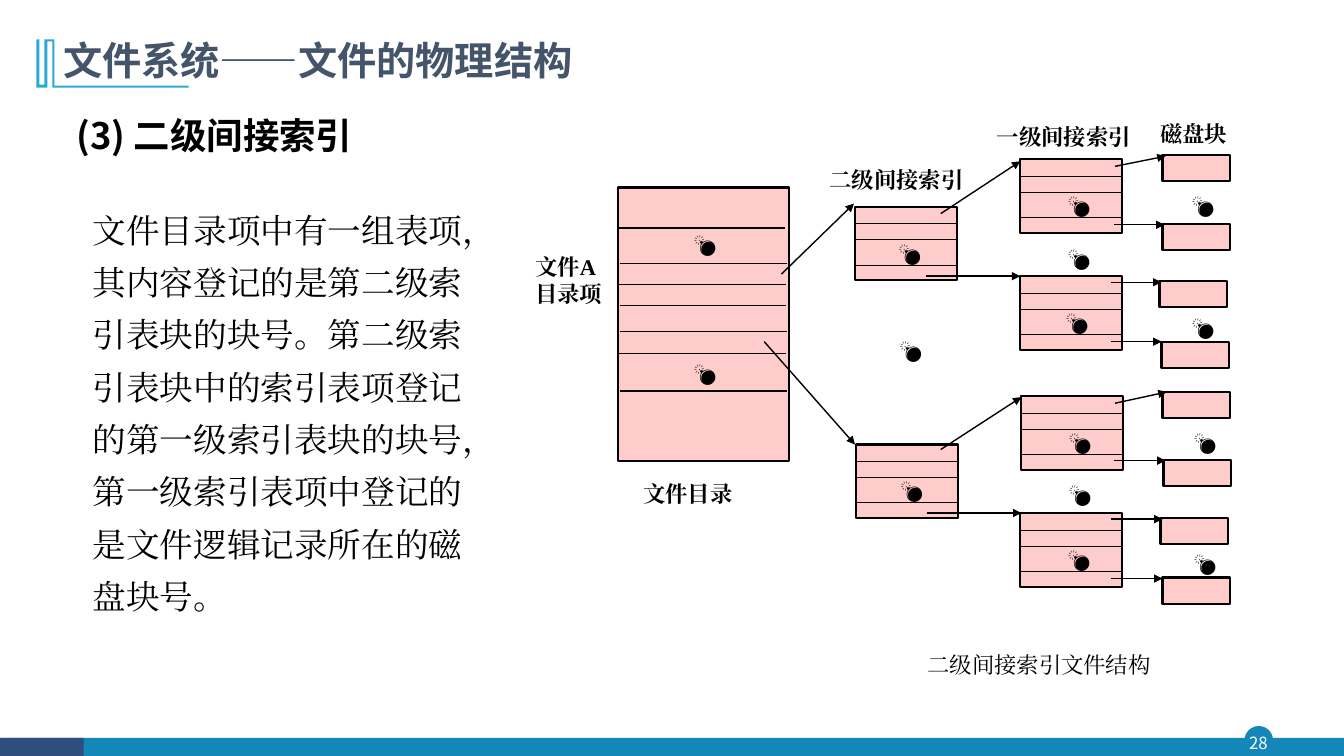
from dataclasses import dataclass

from lxml.etree import SubElement
from pptx import Presentation
from pptx.dml.color import RGBColor
from pptx.enum.shapes import MSO_CONNECTOR, MSO_SHAPE
from pptx.enum.text import MSO_ANCHOR, PP_ALIGN
from pptx.oxml.ns import qn
from pptx.shapes.autoshape import Shape
from pptx.slide import Slide
from pptx.util import Emu, Pt

PX = 9144
SANS = "Noto Sans CJK SC"
SERIF = "Times New Roman"
BLACK = "000000"
PINK = "FFCCCC"
BLUE = "1387B7"


@dataclass(frozen=True)
class Block:
    """A rectangle of the index diagram."""
    left: int
    top: int
    width: int
    height: int


@dataclass(frozen=True)
class Index(Block):
    """An index table with its own bomb mark offset."""
    mark_left: int = 31
    width: int = 101
    height: int = 73


@dataclass(frozen=True)
class Stroke:
    """A straight line between two points."""
    x1: int
    y1: int
    x2: int
    y2: int
    weight: float = 1


@dataclass(frozen=True)
class Label:
    """A piece of text with its box and look."""
    text: str
    left: int
    top: int
    width: int
    height: int
    size: int = 16
    bold: bool = True
    font: str = SERIF
    color: str = BLACK
    inset: tuple[int, int, int, int] = (10, 5, 10, 5)
    align: PP_ALIGN = PP_ALIGN.LEFT
    anchor: MSO_ANCHOR = MSO_ANCHOR.TOP
    spacing: float | Pt | None = None


DIRECTORY = Block(613, 186, 170, 271)
INDEXES = [
    Index(848, 205, mark_left=27), Index(849, 441, mark_left=28),
    Index(1012, 158), Index(1012, 274, mark_left=29),
    Index(1013, 393), Index(1012, 509),
]
INDEX_ROWS = (17, 33, 58)
DISKS = [Block(left, top, 67, 26) for left, top in (
    (1153, 154), (1153, 222), (1150, 279), (1152, 339),
    (1153, 389), (1154, 456), (1151, 514), (1153, 573),
)]
DIRECTORY_ROWS = [
    Stroke(613, 226, 779, 226, 1.75), Stroke(615, 261, 781, 261, 0.75),
    Stroke(614, 282, 780, 282, 0.75), Stroke(615, 303, 780, 303, 0.75),
    Stroke(615, 329, 781, 329, 0.75), Stroke(614, 351, 780, 351, 0.75),
    Stroke(615, 388, 781, 388, 1.75),
]
ARROWS = [
    Stroke(775, 272, 847, 202), Stroke(758, 339, 848, 441),
    Stroke(933, 212, 1012, 160), Stroke(918, 274, 1012, 274),
    Stroke(933, 446, 1013, 394), Stroke(919, 509, 1013, 509),
    Stroke(1106, 165, 1156, 155), Stroke(1105, 223, 1155, 223),
    Stroke(1102, 280, 1152, 280), Stroke(1102, 339, 1152, 339),
    Stroke(1106, 400, 1157, 389), Stroke(1105, 457, 1156, 457),
    Stroke(1102, 515, 1153, 515), Stroke(1102, 574, 1153, 574),
]
FREE_MARKS = [
    (672, 229), (672, 357), (876, 334), (1043, 242), (1044, 477),
    (1166, 190), (1166, 311), (1168, 425), (1168, 545),
]
LABELS = [
    Label("28", 1232, 721, 32, 31, 12, False, SANS, "FFFFFF", (0, 0, 0, 0),
          PP_ALIGN.CENTER, MSO_ANCHOR.MIDDLE),
    Label("文件系统——文件的物理结构", 53, 34, 1049, 56, 28, True, SANS, "44546A",
          anchor=MSO_ANCHOR.MIDDLE, spacing=0.9),
    Label("(3) 二级间接索引", 66, 107, 910, 60, 26, font=SANS),
    Label("文件目录项中有一组表项，其内容登记的是第二级索引表块的块号。"
          "第二级索引表块中的索引表项登记的第一级索引表块的块号，"
          "第一级索引表项中登记的是文件逻辑记录所在的磁盘块号。",
          24, 191, 476, 425, 24, False, inset=(68, 5, 10, 5), spacing=Pt(37.4)),
    Label("文件A\n目录项", 521, 246, 99, 52),
    Label("文件目录", 628, 471, 122, 33),
    Label("二级间接索引", 813, 160, 168, 45),
    Label("一级间接索引", 979, 117, 160, 41),
    Label("磁盘块", 1141, 114, 101, 32),
    Label("二级间接索引文件结构", 910, 641, 244, 37, bold=False),
]
EMBLEM = [
    (54, 39), (54, 85), (187, 85), (187, 87), (52, 87), (52, 41), (47, 41),
    (47, 87), (36, 87), (36, 39), (39, 39), (39, 84), (44, 84), (44, 39),
]


def px(length: int) -> Emu:
    """Turn px into EMU."""
    return Emu(length * PX)


def rgb(color: str) -> RGBColor:
    """Turn a hex string into a colour."""
    return RGBColor.from_string(color)


def paint(shape: Shape, fill: str, line: str | None = None, weight: float = 1) -> None:
    """Give a shape its fill and outline, without shadow."""
    shape.shadow.inherit = False
    shape.fill.solid()
    shape.fill.fore_color.rgb = rgb(fill)
    if line is None:
        shape.line.fill.background()
    else:
        shape.line.color.rgb = rgb(line)
        shape.line.width = Pt(weight)


def add_block(page: Slide, block: Block, fill: str = PINK, line: str | None = BLACK,
              weight: float = 1.5, kind: MSO_SHAPE = MSO_SHAPE.RECTANGLE) -> None:
    """Draw a preset shape."""
    shape = page.shapes.add_shape(
        kind, px(block.left), px(block.top), px(block.width), px(block.height))
    paint(shape, fill, line, weight)


def add_stroke(page: Slide, stroke: Stroke, arrow: bool = False) -> None:
    """Draw a line, with an arrowhead at its end if wanted."""
    connector = page.shapes.add_connector(
        MSO_CONNECTOR.STRAIGHT, px(stroke.x1), px(stroke.y1), px(stroke.x2), px(stroke.y2))
    connector.line.color.rgb = rgb(BLACK)
    connector.line.width = Pt(stroke.weight)
    if arrow:
        SubElement(connector.line._get_or_add_ln(), qn("a:tailEnd"), type="triangle")
    SubElement(connector._element.spPr, qn("a:effectLst"))


def add_label(page: Slide, label: Label) -> None:
    """Write a label."""
    box = page.shapes.add_textbox(
        px(label.left), px(label.top), px(label.width), px(label.height))
    frame = box.text_frame
    frame.word_wrap = True
    frame.vertical_anchor = label.anchor
    (frame.margin_left, frame.margin_top,
     frame.margin_right, frame.margin_bottom) = map(px, label.inset)
    frame.text = label.text
    for para in frame.paragraphs:
        para.alignment = label.align
        para.line_spacing = label.spacing
        for span in para.runs:
            span.font.size = Pt(label.size)
            span.font.bold = label.bold
            span.font.name = label.font
            span.font.color.rgb = rgb(label.color)
            SubElement(span.font._element, qn("a:ea"), typeface=label.font)


def add_mark(page: Slide, left: int, top: int) -> None:
    """Write a bomb mark."""
    add_label(page, Label("💣", left, top, 50, 26, font=SANS, inset=(16, 5, 0, 5), spacing=0.8))


def add_index(page: Slide, index: Index) -> None:
    """Draw an index table with its rows and mark."""
    add_block(page, index)
    for row in INDEX_ROWS:
        y = index.top + row
        add_stroke(page, Stroke(index.left, y, index.left + index.width, y, 0.75))
    add_mark(page, index.left + index.mark_left, index.top + 32)


def add_frame(page: Slide) -> None:
    """Draw the footer bar and the title emblem."""
    add_block(page, Block(1235, 721, 27, 27), BLUE, BLUE, 1, MSO_SHAPE.OVAL)
    add_block(page, Block(1, 732, 1332, 18), BLUE, None)
    add_block(page, Block(0, 732, 83, 18), "2E4E7E", None)
    builder = page.shapes.build_freeform(*EMBLEM[0], scale=float(PX))
    builder.add_line_segments(EMBLEM[1:], close=True)
    paint(builder.convert_to_shape(), "28A9D6")


def main() -> None:
    """Build and save the deck."""
    deck = Presentation()
    deck.slide_width, deck.slide_height = px(1333), px(750)
    page = deck.slides.add_slide(deck.slide_layouts[6])
    add_frame(page)
    for block in [DIRECTORY, *DISKS]:
        add_block(page, block)
    for row in DIRECTORY_ROWS:
        add_stroke(page, row)
    for index in INDEXES:
        add_index(page, index)
    for arrow in ARROWS:
        add_stroke(page, arrow, arrow=True)
    for left, top in FREE_MARKS:
        add_mark(page, left, top)
    for label in LABELS:
        add_label(page, label)
    deck.save("out.pptx")


if __name__ == "__main__":
    main()
